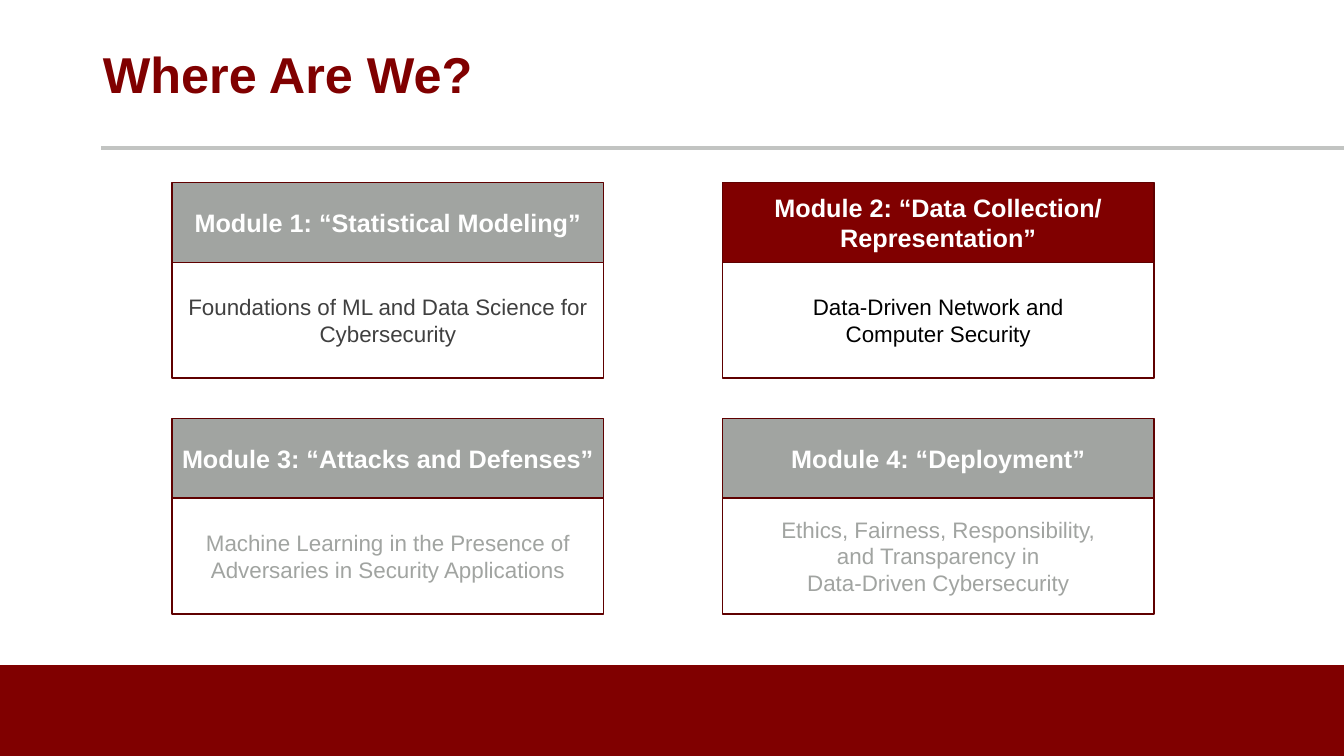
from lxml import etree
from pptx import Presentation
from pptx.dml.color import RGBColor
from pptx.enum.shapes import MSO_CONNECTOR, MSO_SHAPE
from pptx.enum.text import MSO_ANCHOR, PP_ALIGN
from pptx.oxml.ns import qn
from pptx.util import Cm, Pt

RECT = MSO_SHAPE.RECTANGLE
LINE = MSO_CONNECTOR.STRAIGHT
MIDDLE = MSO_ANCHOR.MIDDLE
LEFT, CENTER = PP_ALIGN.LEFT, PP_ALIGN.CENTER

RED, EDGE, GRAY = "800000", "5F0000", "A1A4A1"
WHITE, BLACK, DARK, RULE = "FFFFFF", "000000", "404040", "C2C4C2"
WIDE, HIGH = 33.87, 19.05

MODULES = [
    ("Module 1: “Statistical Modeling”", GRAY, DARK,
     ["Foundations of ML and Data Science for Cybersecurity"]),
    ("Module 2: “Data Collection/ Representation”", RED, BLACK,
     ["Data-Driven Network and", "Computer Security"]),
    ("Module 3: “Attacks and Defenses”", GRAY, GRAY,
     ["Machine Learning in the Presence of Adversaries in Security Applications"]),
    ("Module 4: “Deployment”", GRAY, GRAY,
     ["Ethics, Fairness, Responsibility,", "and Transparency in",
      "Data-Driven Cybersecurity"]),
]


def color(code):
    return RGBColor.from_string(code)


def write(shape, lines, size, code, bold, align):
    frame = shape.text_frame
    frame.word_wrap = True
    frame.vertical_anchor = MIDDLE
    frame.text = "\n".join(lines)
    for para in frame.paragraphs:
        para.alignment = align
        para.font.name = "Arial"
        para.font.size = Pt(size)
        para.font.bold = bold
        para.font.color.rgb = color(code)


deck = Presentation()
deck.slide_width, deck.slide_height = Cm(WIDE), Cm(HIGH)
slide = deck.slides.add_slide(deck.slide_layouts[5])
shapes = slide.shapes

foot = shapes.add_shape(RECT, 0, Cm(16.76), Cm(WIDE), Cm(HIGH - 16.76))
foot.shadow.inherit = False
foot.fill.solid()
foot.fill.fore_color.rgb = color(RED)
foot.line.fill.background()

rule = shapes.add_connector(LINE, Cm(2.54), Cm(3.73), Cm(WIDE), Cm(3.73))
rule.line.color.rgb = color(RULE)
rule.line.width = Pt(3)
etree.SubElement(rule._element.spPr, qn("a:effectLst"))

title = shapes.title
title.left, title.top = Cm(2.34), Cm(0)
title.width, title.height = Cm(29.21), Cm(3.68)
write(title, ["Where Are We?"], 36, RED, True, LEFT)

for i, (name, fill, ink, lines) in enumerate(MODULES):
    row, col = divmod(i, 2)
    left, top = 4.34 + 13.87 * col, 4.6 + 5.94 * row
    group = shapes.add_group_shape()
    parts = [
        (top, 2.01, fill, [name], 18, WHITE, True),
        (top + 2.01, 2.92, WHITE, lines, 16, ink, False),
    ]
    for y, tall, back, text, size, code, bold in parts:
        box = group.shapes.add_shape(RECT, Cm(left), Cm(y), Cm(10.87), Cm(tall))
        box.shadow.inherit = False
        box.fill.solid()
        box.fill.fore_color.rgb = color(back)
        box.line.color.rgb = color(EDGE)
        box.line.width = Pt(1)
        write(box, text, size, code, bold, CENTER)
        box.text_frame.margin_left = box.text_frame.margin_right = Cm(0.2)

deck.save("out.pptx")
